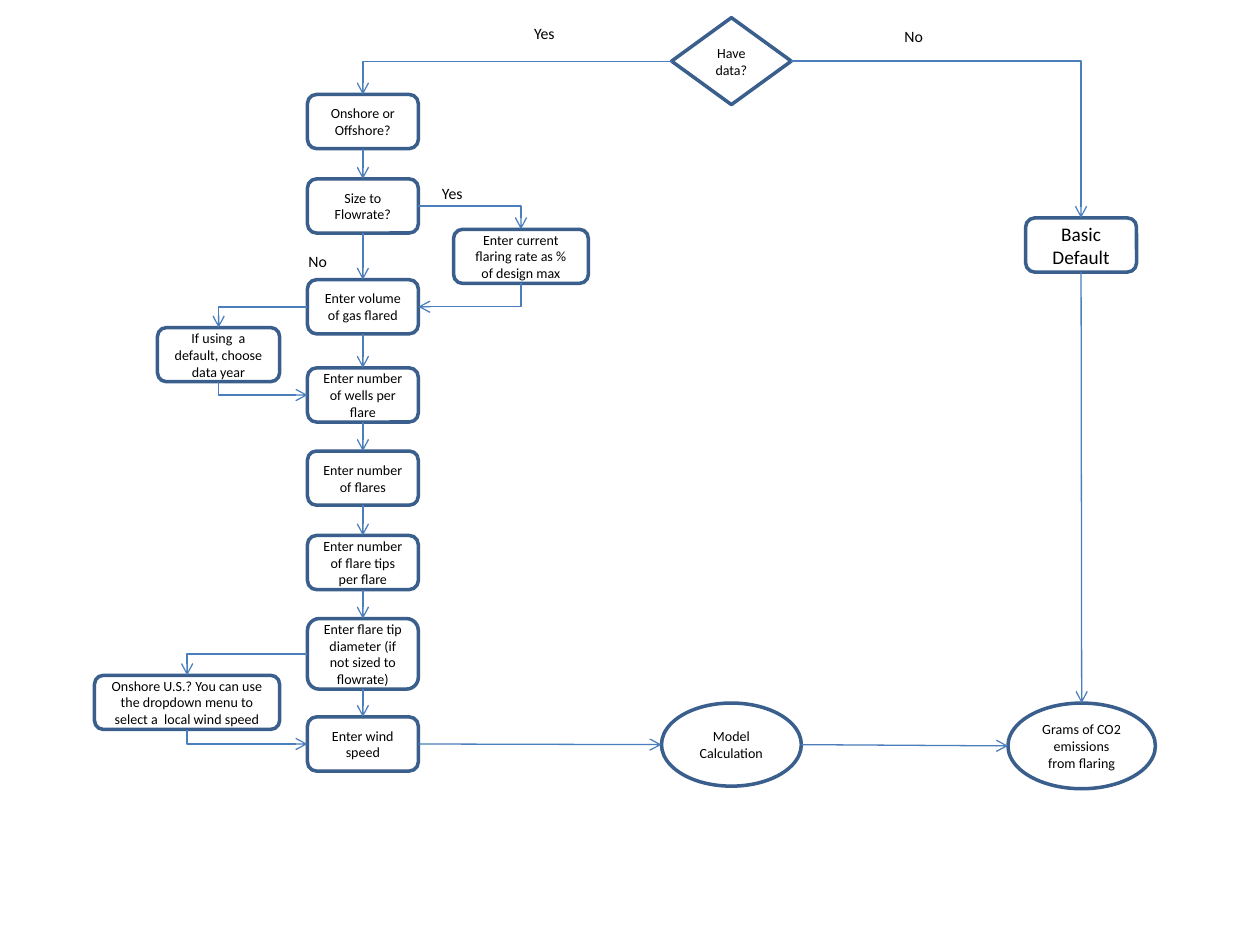
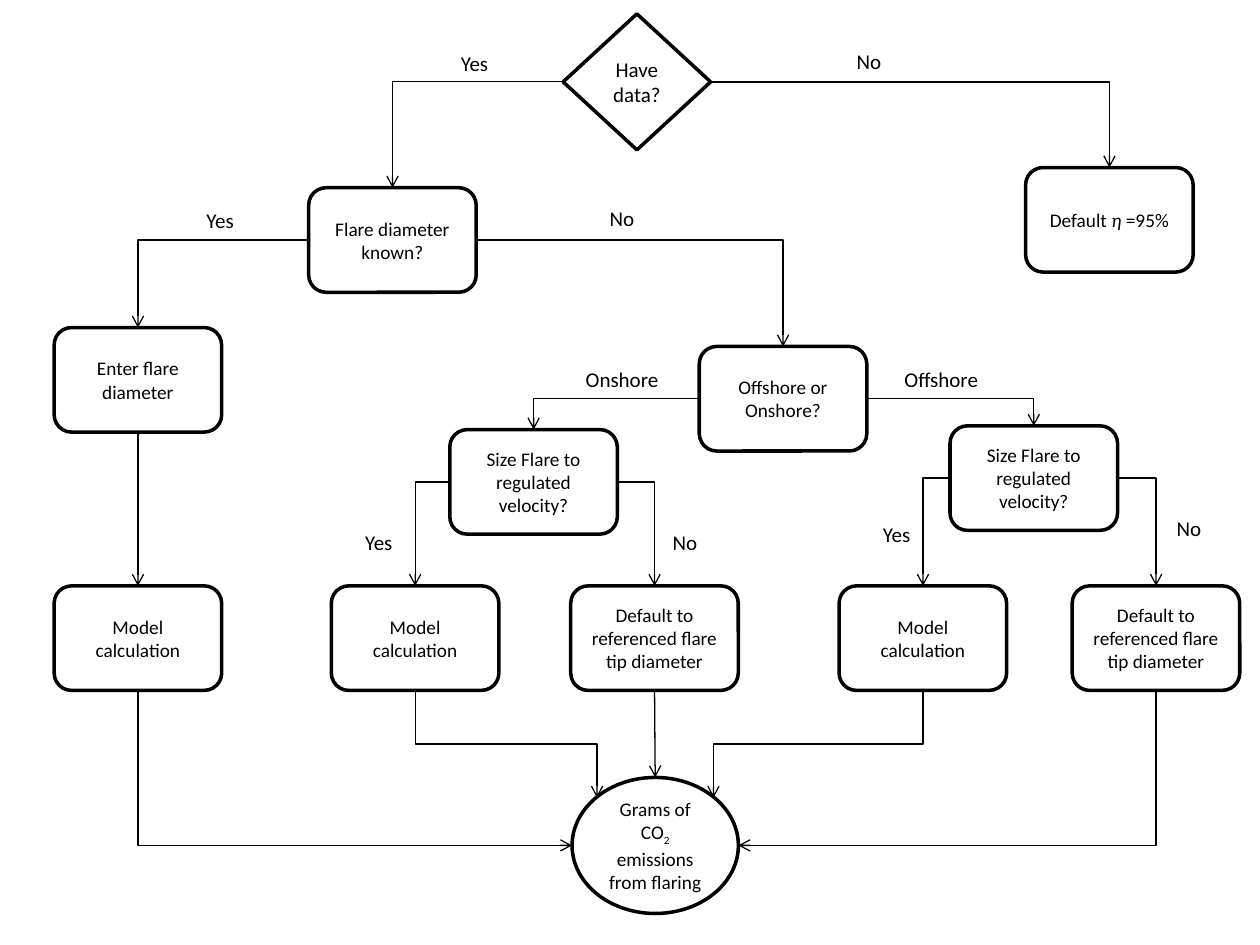
from dataclasses import dataclass
from functools import partial

from lxml.etree import SubElement
from pptx import Presentation
from pptx.dml.color import RGBColor
from pptx.enum.shapes import MSO_CONNECTOR, MSO_SHAPE
from pptx.enum.text import MSO_ANCHOR, MSO_AUTO_SIZE, PP_ALIGN
from pptx.oxml.ns import qn
from pptx.util import Inches, Pt


@dataclass(frozen=True)
class Theme:
    outline: str
    arrow: str
    node_size: int
    label_size: int
    emphasis_size: int
    font: str = "Calibri"
    ink: str = "000000"
    paper: str = "FFFFFF"
    outline_width: float = 2
    arrow_width: float = 0.75


DATA_ENTRY = Theme(outline="3A5F8C", arrow="4B7EBC", node_size=8, label_size=9, emphasis_size=11)
EFFICIENCY = Theme(outline="000000", arrow="000000", node_size=11, label_size=12, emphasis_size=12)

BOX, DECISION, RESULT = MSO_SHAPE.ROUNDED_RECTANGLE, MSO_SHAPE.DIAMOND, MSO_SHAPE.OVAL
FOUR_SITES = ["top", "left", "bottom", "right"]
OVAL_SITES = ["top", "top left", "left", "bottom left", "bottom", "bottom right", "right", "top right"]
SIDE_POINTS = {
    "top": (0.5, 0), "bottom": (0.5, 1), "left": (0, 0.5), "right": (1, 0.5),
    "top left": (0.15, 0.15), "top right": (0.85, 0.15),
}
STRAIGHT_TOLERANCE = Inches(0.03)


def color(value):
    return RGBColor.from_string(value)


def write_text(frame, text, *, theme, size, align=PP_ALIGN.LEFT, anchor=MSO_ANCHOR.TOP):
    frame.word_wrap = True
    frame.vertical_anchor = anchor
    paragraph = frame.paragraphs[0]
    paragraph.alignment = align
    pieces = [(text, "plain")] if isinstance(text, str) else text
    for words, look in pieces:
        run = paragraph.add_run()
        run.text = words
        run.font.name = theme.font
        run.font.size = Pt(size)
        run.font.color.rgb = color(theme.ink)
        if look == "italic":
            run.font.italic = True
        if look == "subscript":
            run._r.get_or_add_rPr().set("baseline", "-25000")


def add_node(slide, theme, text, left, top, width, height, kind=BOX, emphasis=False):
    node = slide.shapes.add_shape(kind, Inches(left), Inches(top), Inches(width), Inches(height))
    node.shadow.inherit = False
    node.fill.solid()
    node.fill.fore_color.rgb = color(theme.paper)
    node.line.color.rgb = color(theme.outline)
    node.line.width = Pt(theme.outline_width)
    write_text(node.text_frame, text, theme=theme,
               size=theme.emphasis_size if emphasis else theme.node_size,
               align=PP_ALIGN.CENTER, anchor=MSO_ANCHOR.MIDDLE)
    return node


def add_label(slide, theme, text, left, top, width, height):
    label = slide.shapes.add_textbox(Inches(left), Inches(top), Inches(width), Inches(height))
    write_text(label.text_frame, text, theme=theme, size=theme.label_size)
    label.text_frame.auto_size = MSO_AUTO_SIZE.SHAPE_TO_FIT_TEXT


def side_point(node, side):
    across, down = SIDE_POINTS[side]
    return round(node.left + across * node.width), round(node.top + down * node.height)


def bend(arrow, start, end, leaves_down, corners):
    (x1, y1), (x2, y2) = start, end
    width, height = abs(x2 - x1), abs(y2 - y1)
    leftward = x2 < x1
    if leaves_down:
        width, height = height, width
        rotation, flip = (90, None) if leftward else (270, "flipH")
    else:
        rotation, flip = (180, "flipV") if leftward else (0, None)
    arrow.left, arrow.top = (x1 + x2 - width) // 2, (y1 + y2 - height) // 2
    arrow.width, arrow.height = width, height
    properties = arrow._element.spPr
    properties.find(qn("a:prstGeom")).set("prst", f"bentConnector{corners + 1}")
    frame = properties.find(qn("a:xfrm"))
    for name in ("flipH", "flipV"):
        frame.attrib.pop(name, None)
    frame.set("rot", str(rotation * 60000))
    if flip:
        frame.set(flip, "1")


def add_arrow(slide, theme, source, source_side, target, target_side):
    start, end = side_point(source, source_side), side_point(target, target_side)
    straight = min(abs(end[0] - start[0]), abs(end[1] - start[1])) < STRAIGHT_TOLERANCE
    route = MSO_CONNECTOR.STRAIGHT if straight else MSO_CONNECTOR.ELBOW
    arrow = slide.shapes.add_connector(route, *start, *end)
    arrow.line.color.rgb = color(theme.arrow)
    arrow.line.width = Pt(theme.arrow_width)
    SubElement(arrow.line._get_or_add_ln(), qn("a:tailEnd"), type="arrow")
    SubElement(arrow._element.spPr, qn("a:effectLst"))
    links = arrow._element.nvCxnSpPr.cNvCxnSpPr
    for tag, node, side in (("a:stCxn", source, source_side), ("a:endCxn", target, target_side)):
        sites = OVAL_SITES if node.auto_shape_type == RESULT else FOUR_SITES
        SubElement(links, qn(tag), id=str(node.shape_id), idx=str(sites.index(side)))
    if not straight:
        leaves_down = source_side == "bottom"
        bend(arrow, start, end, leaves_down, 2 if leaves_down and target_side.startswith("top") else 1)


def tools_for(slide, theme):
    return [partial(add, slide, theme) for add in (add_node, add_label, add_arrow)]


def build_data_entry(slide):
    node, label, arrow = tools_for(slide, DATA_ENTRY)
    column, width, height = 2.44, 0.88, 0.43

    have_data = node("Have data?", 5.33, 0.14, 0.95, 0.69, DECISION)
    basic_default = node("Basic Default", 8.14, 1.73, width, height, emphasis=True)
    emissions = node("Grams of CO2 emissions from flaring", 8, 5.58, 1.17, 0.68, RESULT)
    calculation = node("Model Calculation", 5.25, 5.58, 1.11, 0.66, RESULT)

    steps = [
        node(text, column, top, width, step_height)
        for text, top, step_height in (
            ("Onshore or Offshore?", 0.75, height),
            ("Size to Flowrate?", 1.42, height),
            ("Enter volume of gas flared", 2.22, height),
            ("Enter number of wells per flare", 2.92, height),
            ("Enter number of flares", 3.58, height),
            ("Enter number of flare tips per flare", 4.25, height),
            ("Enter flare tip diameter (if not sized to flowrate)", 4.91, 0.56),
            ("Enter wind speed", 5.69, height),
        )
    ]
    location, flowrate, volume, wells, _, _, diameter, wind = steps
    current_rate = node("Enter current flaring rate as % of design max", 3.6, 1.82, 1.07, height)
    data_year = node("If using  a default, choose data year", 1.25, 2.6, 0.97, height)
    local_wind = node("Onshore U.S.? You can use the dropdown menu to select a  local wind speed",
                      0.75, 5.36, 1.47, height)

    for text, left, top in (("Yes", 4.14, 0.14), ("No", 7.08, 0.16), ("Yes", 3.41, 1.41), ("No", 2.35, 1.95)):
        label(text, left, top, 0.53, 0.25)

    for step, following in zip(steps, steps[1:]):
        arrow(step, "bottom", following, "top")
    for source, source_side, target, target_side in (
        (have_data, "left", location, "top"),
        (have_data, "right", basic_default, "top"),
        (flowrate, "right", current_rate, "top"),
        (current_rate, "bottom", volume, "right"),
        (volume, "left", data_year, "top"),
        (data_year, "bottom", wells, "left"),
        (diameter, "left", local_wind, "top"),
        (local_wind, "bottom", wind, "left"),
        (wind, "right", calculation, "left"),
        (calculation, "right", emissions, "left"),
        (basic_default, "bottom", emissions, "top"),
    ):
        arrow(source, source_side, target, target_side)


def build_efficiency(slide):
    node, label, arrow = tools_for(slide, EFFICIENCY)
    box = partial(node, width=1.33, height=0.83)
    calculate, use_default = "Model calculation", "Default to referenced flare tip diameter"
    size_flare = "Size Flare to regulated velocity?"

    have_data = node("Have data?", 4.47, 0.11, 1.17, 1.08, DECISION, emphasis=True)
    default_efficiency = box([("Default ", "plain"), ("η ", "italic"), ("=95%", "plain")], 8.14, 1.33)
    diameter_known = box("Flare diameter known?", 2.45, 1.49)
    enter_diameter = box("Enter flare diameter", 0.43, 2.6)
    location = box("Offshore or Onshore?", 5.55, 2.75)
    onshore = box(size_flare, 3.57, 3.41)
    offshore = box(size_flare, 7.54, 3.38)
    known_calc, onshore_calc, onshore_default, offshore_calc, offshore_default = [
        box(text, left, 4.65)
        for text, left in ((calculate, 0.43), (calculate, 2.63), (use_default, 4.53),
                           (calculate, 6.66), (use_default, 8.51))
    ]
    emissions = node([("Grams of CO", "plain"), ("2 ", "subscript"), ("emissions from flaring", "plain")],
                     4.54, 6.17, 1.32, 1.08, RESULT)

    for text, left, top, width in (
        ("Yes", 3.56, 0.35, 0.47), ("No", 6.7, 0.34, 0.42),
        ("Yes", 1.54, 1.6, 0.47), ("No", 4.74, 1.58, 0.42),
        ("Onshore", 4.55, 2.86, 0.87), ("Offshore", 7.08, 2.86, 1.36),
        ("Yes", 2.8, 4.15, 0.64), ("No", 5.24, 4.15, 0.83),
        ("Yes", 6.91, 4.09, 0.6), ("No", 9.24, 4.04, 0.42),
    ):
        label(text, left, top, width, 0.3)

    for question, left_answer, right_answer in (
        (have_data, diameter_known, default_efficiency),
        (diameter_known, enter_diameter, location),
        (location, onshore, offshore),
        (onshore, onshore_calc, onshore_default),
        (offshore, offshore_calc, offshore_default),
    ):
        arrow(question, "left", left_answer, "top")
        arrow(question, "right", right_answer, "top")

    arrow(enter_diameter, "bottom", known_calc, "top")
    for outcome, side in (
        (known_calc, "left"), (onshore_calc, "top left"), (onshore_default, "top"),
        (offshore_calc, "top right"), (offshore_default, "right"),
    ):
        arrow(outcome, "bottom", emissions, side)


def main():
    deck = Presentation()
    deck.slide_width, deck.slide_height = Inches(10), Inches(7.5)
    blank = deck.slide_layouts[6]
    for build in (build_data_entry, build_efficiency):
        build(deck.slides.add_slide(blank))
    deck.save("out.pptx")


if __name__ == "__main__":
    main()
